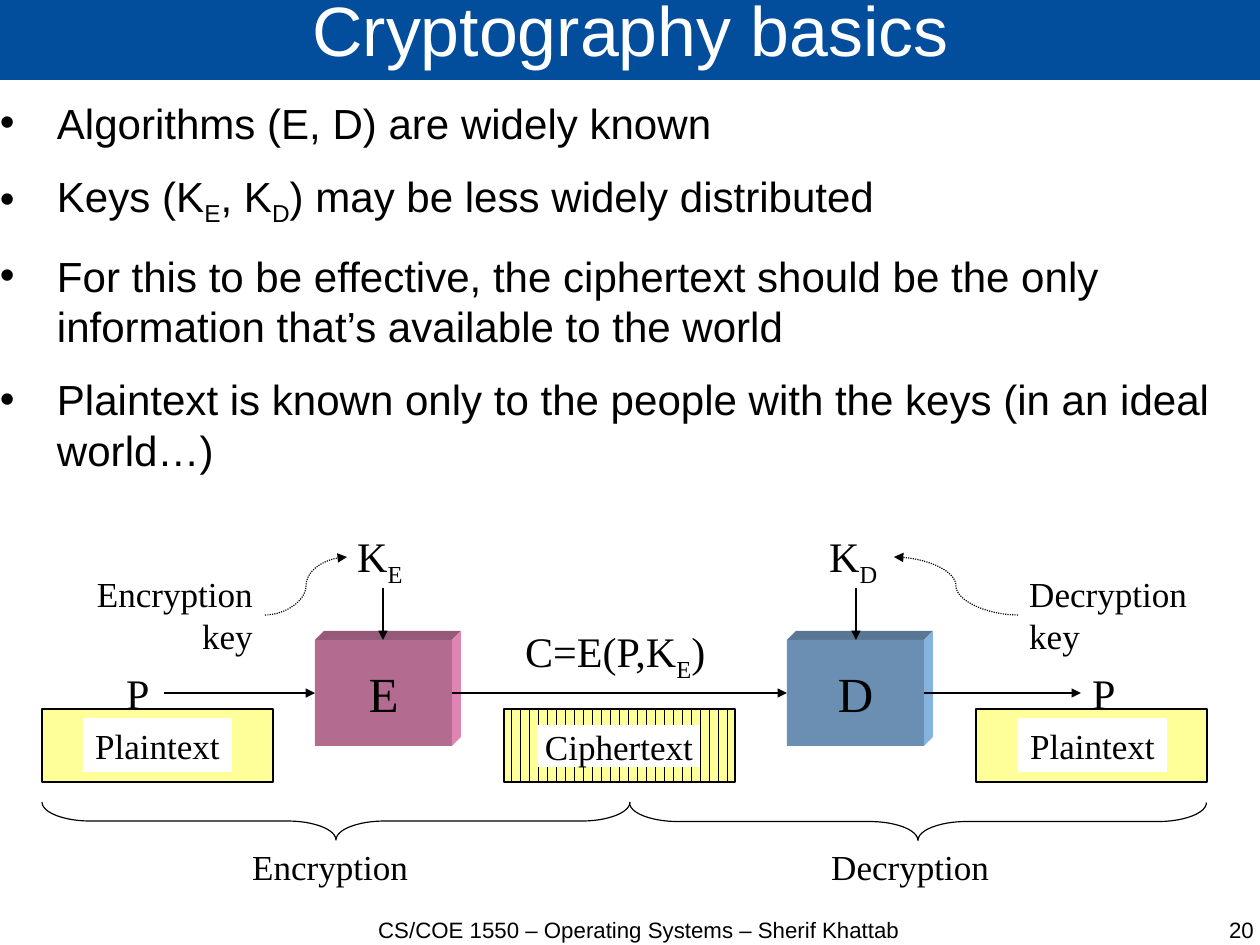
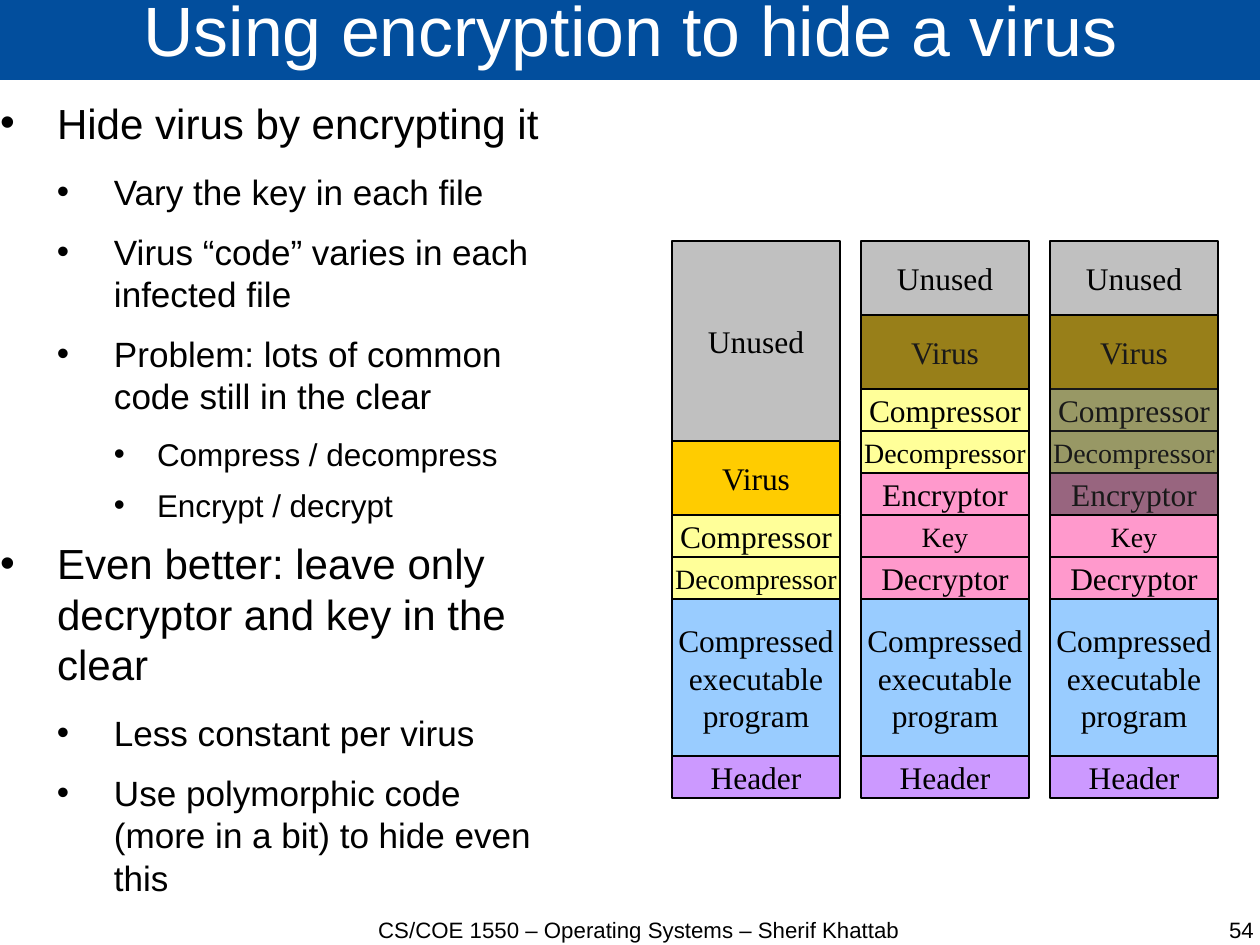
from dataclasses import dataclass
from typing import Any, NamedTuple, Optional

from lxml.etree import SubElement
from pptx import Presentation
from pptx.dml.color import RGBColor
from pptx.enum.dml import MSO_LINE, MSO_PATTERN
from pptx.enum.shapes import MSO_CONNECTOR, MSO_SHAPE
from pptx.enum.text import MSO_ANCHOR, MSO_AUTO_SIZE, PP_ALIGN
from pptx.oxml.ns import qn
from pptx.util import Pt

SCALE = 8000
WIDTH, HEIGHT = 1260, 945
SANS, SERIF = "Arial", "Times New Roman"
COURSE = "CS/COE 1550 – Operating Systems – Sherif Khattab"
COLORS = {
    "band": "024E9D", "white": "FFFFFF", "black": "000000",
    "plain": "FFFF99", "veil": "333333", "unused": "C0C0C0",
    "virus": "FFCC00", "crypto": "FF99CC", "program": "99CCFF",
    "header": "CC99FF",
    "rose": "B36B8F", "rose top": "95597A", "rose side": "E085B3",
    "steel": "6B8FB3", "steel top": "597795", "steel side": "85B3E0",
}
ZERO_MARGINS = {"margin_left": 0, "margin_right": 0, "margin_top": 0, "margin_bottom": 0}
FLOWING = {"word_wrap": True, "auto_size": MSO_AUTO_SIZE.NONE, **ZERO_MARGINS}
CENTERED = {"word_wrap": False, "vertical_anchor": MSO_ANCHOR.MIDDLE, **ZERO_MARGINS}
LABEL = {"word_wrap": False}


class Box(NamedTuple):
    """A rectangle in px."""

    left: int
    top: int
    width: int
    height: int


class Level(NamedTuple):
    """The style of one bullet level."""

    indent: int
    hanging: int
    size: float
    after: float


LEVELS = [Level(57, 57, 26.5, 14.2), Level(114, 57, 22.1, 11.4), Level(157, 43, 19.8, 8.5)]


@dataclass
class Label:
    """A free text; every second part between bars is a subscript."""

    text: str
    box: Box
    size: float = 22.1
    align: Any = PP_ALIGN.LEFT


@dataclass
class Arrow:
    """An arrow between two points."""

    start: tuple[int, int]
    end: tuple[int, int]
    curved: bool = False


@dataclass
class Band:
    """A text strip with a white name plate."""

    name: str
    left: int
    plate: Box
    striped: bool = False


@dataclass
class Machine:
    """A raised block that encrypts or decrypts."""

    name: str
    left: int
    color: str


@dataclass
class Segment:
    """One part of an infected file."""

    name: str
    color: str
    height: int = 42
    size: float = 19.8


def px(value: int) -> int:
    """Turn px into EMU."""
    return value * SCALE


def place(box: Box) -> list[int]:
    """Give a box in EMU."""
    return [px(value) for value in box]


def apply(target: Any, formats: dict[str, Any]) -> None:
    """Set each format value on the target."""
    for name, value in formats.items():
        setattr(target, name, value)


def rgb(color: str) -> RGBColor:
    """Look up a colour."""
    return RGBColor.from_string(COLORS[color])


def paint(shape: Any, fill: Optional[str], line: Optional[str] = None) -> None:
    """Give a shape a plain fill and line without shadow."""
    shape.shadow.inherit = False
    if fill:
        shape.fill.solid()
        shape.fill.fore_color.rgb = rgb(fill)
    else:
        shape.fill.background()
    if line:
        shape.line.color.rgb = rgb(line)
        shape.line.width = Pt(0.75)
    else:
        shape.line.fill.background()


def write(para: Any, text: str, size: float, face: str, color: str = "black",
          align: Any = PP_ALIGN.LEFT) -> None:
    """Fill a paragraph, lowering every second part between bars."""
    para.alignment = align
    for row, line in enumerate(text.split("\n")):
        if row:
            para.add_line_break()
        for index, part in enumerate(line.split("|")):
            if not part:
                continue
            span = para.add_run()
            span.text = part
            apply(span.font, {"size": Pt(size), "name": face, "bold": False})
            span.font.color.rgb = rgb(color)
            if index % 2:
                span.font._element.set("baseline", "-25000")


def add_text(page: Any, label: Label, face: str, frame: dict[str, Any]) -> None:
    """Add a text box holding one label."""
    box = page.shapes.add_textbox(*place(label.box))
    apply(box.text_frame, frame)
    write(box.text_frame.paragraphs[0], label.text, label.size, face, align=label.align)


def add_block(page: Any, box: Box, fill: str, line: Optional[str] = None,
              text: str = "", size: float = 22.1) -> Any:
    """Add a rectangle with centred text."""
    block = page.shapes.add_shape(MSO_SHAPE.RECTANGLE, *place(box))
    paint(block, fill, line)
    if text:
        apply(block.text_frame, CENTERED)
        write(block.text_frame.paragraphs[0], text, size, SERIF, align=PP_ALIGN.CENTER)
    return block


def add_page(deck: Any, title: str, number: str) -> Any:
    """Add a slide with title band, course footer and number."""
    page = deck.slides.add_slide(deck.slide_layouts[5])
    heading = page.shapes.title
    bounds = place(Box(0, -2, 1262, 82))
    apply(heading, dict(zip(("left", "top", "width", "height"), bounds)))
    heading.fill.solid()
    heading.fill.fore_color.rgb = rgb("band")
    apply(heading.text_frame, {**FLOWING, "vertical_anchor": MSO_ANCHOR.MIDDLE})
    para = heading.text_frame.paragraphs[0]
    write(para, title, 44, SANS, "white", PP_ALIGN.CENTER)
    para.line_spacing = 0.69
    for label in (Label(COURSE, Box(351, 916, 576, 28), 14, PP_ALIGN.CENTER),
                  Label(number, Box(965, 916, 289, 28), 14, PP_ALIGN.RIGHT)):
        add_text(page, label, SANS, FLOWING)
    return page


def add_bullets(page: Any, width: int, items: list[tuple[int, str]]) -> None:
    """Add the bulleted body text."""
    box = page.shapes.add_textbox(*place(Box(0, 97, width, 814)))
    apply(box.text_frame, FLOWING)
    for index, (depth, text) in enumerate(items):
        level = LEVELS[depth]
        para = box.text_frame.add_paragraph() if index else box.text_frame.paragraphs[0]
        write(para, text, level.size, SANS)
        apply(para, {"level": depth, "space_after": Pt(level.after)})
        style = para._p.get_or_add_pPr()
        style.set("marL", str(px(level.indent)))
        style.set("indent", str(-px(level.hanging)))
        tint = SubElement(style, qn("a:buClr"))
        SubElement(tint, qn("a:srgbClr"), val=COLORS["black"])
        SubElement(style, qn("a:buFont"), typeface=SANS)
        SubElement(style, qn("a:buChar"), char="•")


def add_arrow(page: Any, arrow: Arrow) -> None:
    """Add a straight arrow or a dotted curved one."""
    kind = MSO_CONNECTOR.CURVE if arrow.curved else MSO_CONNECTOR.STRAIGHT
    line = page.shapes.add_connector(kind, *place(arrow.start + arrow.end))
    line.line.color.rgb = rgb("black")
    line.line.width = Pt(0.75)
    if arrow.curved:
        line.line.dash_style = MSO_LINE.ROUND_DOT
    SubElement(line.line._get_or_add_ln(), qn("a:tailEnd"), type="triangle")
    SubElement(line._element.spPr, qn("a:effectLst"))


def add_machine(page: Any, machine: Machine) -> None:
    """Add a block with raised top and side faces."""
    left, top, right, bottom, depth = machine.left, 640, machine.left + 137, 746, 9
    corner = (right + depth, top - depth)
    faces = {
        "top": [(left, top), (left + depth, top - depth), corner, (right, top)],
        "side": [(right, top), corner, (right + depth, bottom - depth), (right, bottom)],
    }
    for name, points in faces.items():
        outline = page.shapes.build_freeform(*points[0], scale=SCALE)
        outline.add_line_segments(points[1:], close=True)
        paint(outline.convert_to_shape(), f"{machine.color} {name}")
    add_block(page, Box(left, top, right - left, bottom - top), machine.color,
              text=machine.name, size=30.9)


def add_band(page: Any, band: Band) -> None:
    """Add a text strip and its name plate."""
    strip = add_block(page, Box(band.left, 709, 231, 73), "plain", "black")
    if band.striped:
        strip.fill.patterned()
        strip.fill.pattern = MSO_PATTERN.DARK_VERTICAL
        strip.fill.fore_color.rgb = rgb("plain")
        strip.fill.back_color.rgb = rgb("black")
    add_block(page, band.plate, "white", text=band.name)


def add_brace(page: Any, left: int, right: int) -> None:
    """Add a brace that opens upward between two sides."""
    span, depth, middle = right - left, 38, 821
    box = Box((left + right - depth) // 2, middle - span // 2, depth, span)
    brace = page.shapes.add_shape(MSO_SHAPE.LEFT_BRACE, *place(box))
    paint(brace, None, "black")
    brace.rotation = 270
    brace.adjustments[0] = 1.28


def build_basics(deck: Any) -> None:
    """Build the slide on cryptography basics."""
    page = add_page(deck, "Cryptography basics", "20")
    add_bullets(page, 1262, [
        (0, "Algorithms (E, D) are widely known"),
        (0, "Keys (K|E|, K|D|) may be less widely distributed"),
        (0, "For this to be effective, the ciphertext should be the only "
            "information that’s available to the world"),
        (0, "Plaintext is known only to the people with the keys (in an ideal world…)"),
    ])
    for machine in (Machine("E", 315, "rose"), Machine("D", 787, "steel")):
        add_machine(page, machine)
    for label in (
        Label("C=E(P,K|E|)", Box(514, 620, 207, 63), 26.5),
        Label("P", Box(115, 662, 47, 63), 26.5),
        Label("P", Box(1081, 662, 47, 63), 26.5),
        Label("K|E", Box(346, 525, 71, 63), 26.5),
        Label("K|D", Box(818, 525, 74, 63), 26.5),
        Label("Encryption", Box(241, 840, 179, 54)),
        Label("Decryption", Box(820, 840, 182, 54)),
        Label("Encryption\nkey", Box(85, 567, 179, 96), align=PP_ALIGN.RIGHT),
        Label("Decryption\nkey", Box(1018, 567, 182, 96)),
    ):
        add_text(page, label, SERIF, LABEL)
    for arrow in (
        Arrow((164, 693), (315, 693)), Arrow((452, 693), (787, 693)),
        Arrow((924, 693), (1081, 693)), Arrow((383, 588), (383, 640)),
        Arrow((856, 588), (856, 640)), Arrow((265, 615), (347, 557), True),
        Arrow((1018, 615), (894, 557), True),
    ):
        add_arrow(page, arrow)
    for band in (Band("Ciphertext", 504, Box(538, 725, 162, 42), True),
                 Band("Plaintext", 976, Box(1018, 718, 149, 54)),
                 Band("Plaintext", 42, Box(83, 718, 149, 54))):
        add_band(page, band)
    for left, right in ((42, 630), (630, 1207)):
        add_brace(page, left, right)


def build_virus(deck: Any) -> None:
    """Build the slide on hiding a virus."""
    page = add_page(deck, "Using encryption to hide a virus", "54")
    add_bullets(page, 553, [
        (0, "Hide virus by encrypting it"),
        (1, "Vary the key in each file"),
        (1, "Virus “code” varies in each infected file"),
        (1, "Problem: lots of common code still in the clear"),
        (2, "Compress / decompress"),
        (2, "Encrypt / decrypt"),
        (0, "Even better: leave only decryptor and key in the clear"),
        (1, "Less constant per virus"),
        (1, "Use polymorphic code (more in a bit) to hide even this"),
    ])
    packing = [Segment("Virus", "virus", 74), Segment("Compressor", "plain"),
               Segment("Decompressor", "plain", size=17.6)]
    crypto = [Segment("Encryptor", "crypto"), Segment("Key", "crypto", size=17.6),
              Segment("Decryptor", "crypto")]
    program = [Segment("Compressed\nexecutable\nprogram", "program", 157),
               Segment("Header", "header")]
    encrypted = [Segment("Unused", "unused", 74), *packing, *crypto, *program]
    files = [([Segment("Unused", "unused", 200), *packing, *program], 0),
             (encrypted, 74), (encrypted, 200)]
    for index, (segments, hidden) in enumerate(files):
        left, top = 672 + 189 * index, 241
        for segment in segments:
            add_block(page, Box(left, top, 168, segment.height), segment.color,
                      "black", segment.name, segment.size)
            top += segment.height
        if hidden:
            veil = add_block(page, Box(left, 315, 168, hidden), "veil", "black")
            tint = veil._element.spPr.find(qn("a:solidFill"))[0]
            SubElement(tint, qn("a:alpha"), val="50000")


def main() -> None:
    """Build and save the deck."""
    deck = Presentation()
    apply(deck, {"slide_width": px(WIDTH), "slide_height": px(HEIGHT)})
    build_basics(deck)
    build_virus(deck)
    deck.save("out.pptx")


if __name__ == "__main__":
    main()
